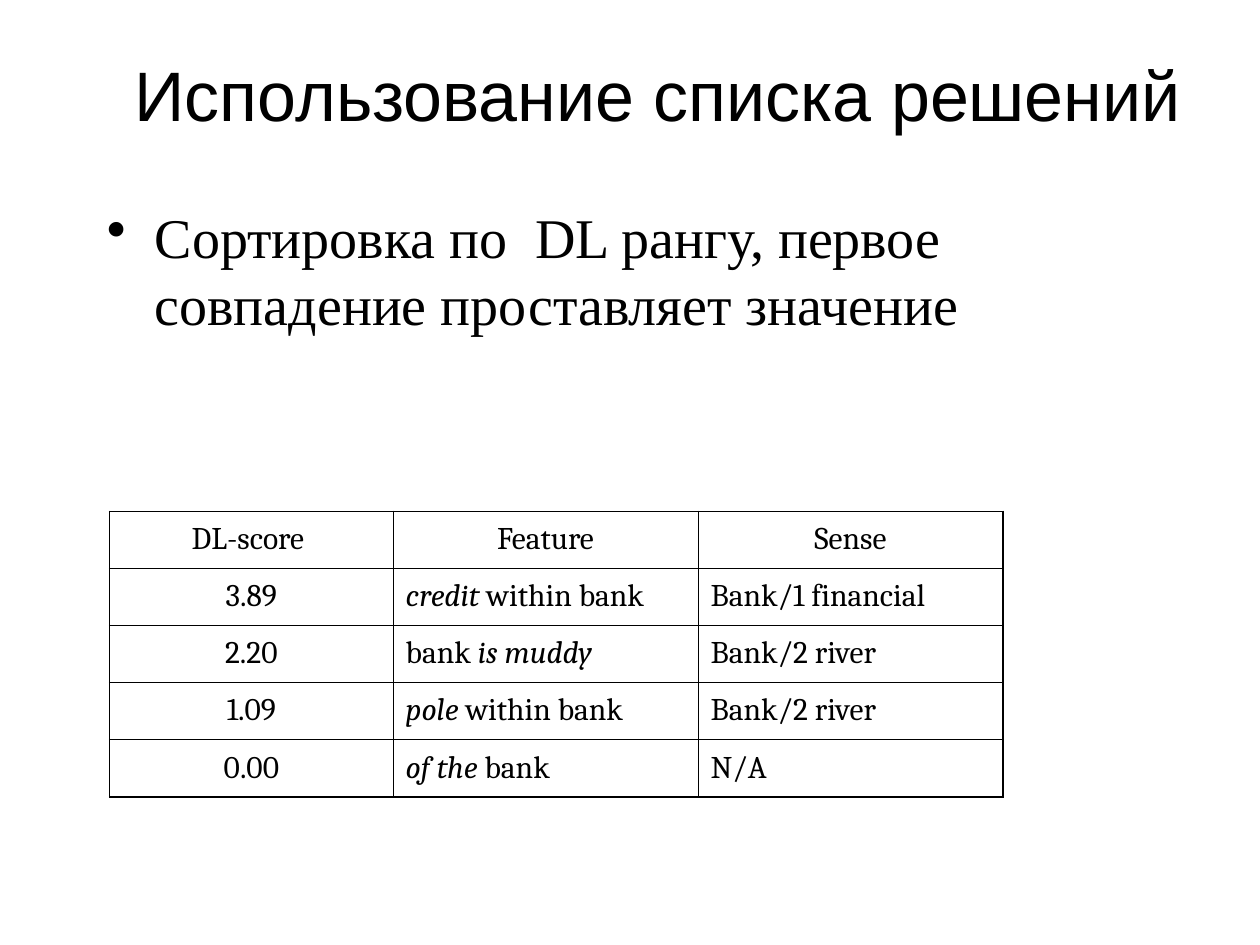
from dataclasses import dataclass

from lxml import etree
from pptx import Presentation
from pptx import util as u
from pptx.dml.color import RGBColor
from pptx.enum import text
from pptx.oxml.ns import qn


@dataclass(frozen=True)
class Theme:
    ink: str = "000000"
    title_font: str = "Arial"
    body_font: str = "Times New Roman"
    table_font: str = "Cambria"
    title_size: int = 40
    body_size: int = 32
    table_size: int = 18
    outer_line: float = 1.08
    inner_line: float = 0.45


@dataclass(frozen=True)
class Box:
    """Position and size in percent of the slide."""
    left: float
    top: float
    width: float
    height: float


@dataclass(frozen=True)
class Span:
    content: str
    italic: bool = False


THEME = Theme()
WIDTH, HEIGHT = u.Inches(10), u.Inches(7.5)
TITLE = Box(7.5, 4.13, 89.4, 11.47)
BODY = Box(7.5, 20.8, 85, 68)
TABLE = Box(8.7, 54.13, 70.9, 30.2)
COLUMN_SHARES = (22.5, 24.2, 24.2)
ROWS = (
    ((Span("DL-score "),), (Span("Feature"),), (Span("Sense"),)),
    ((Span("3.89"),), (Span("credit", True), Span(" within bank")),
     (Span("Bank/1 financial"),)),
    ((Span("2.20"),), (Span("bank "), Span("is muddy", True)),
     (Span("Bank/2 river"),)),
    ((Span("1.09"),), (Span("pole ", True), Span("within bank")),
     (Span("Bank/2 river"),)),
    ((Span("0.00"),), (Span("of the", True), Span(" bank")),
     (Span("N/A"),)),
)


def across(share: float) -> int:
    return round(WIDTH * share / 100)


def down(share: float) -> int:
    return round(HEIGHT * share / 100)


def place(box: Box) -> tuple[int, int, int, int]:
    return across(box.left), down(box.top), across(box.width), down(box.height)


def set_font(p, name: str, size: int) -> None:
    p.font.name = name
    p.font.size = u.Pt(size)
    p.font.color.rgb = RGBColor.from_string(THEME.ink)


def add_text(s, box: Box, content: str, name: str, size: int, anchor):
    tf = s.shapes.add_textbox(*place(box)).text_frame
    tf.word_wrap = True
    tf.vertical_anchor = anchor
    p = tf.paragraphs[0]
    p.add_run().text = content
    set_font(p, name, size)
    return p


def add_bullet(p) -> None:
    p.space_before = u.Pt(8)
    ppr = p._p.get_or_add_pPr()
    indent = u.Inches(0.38)
    ppr.set("marL", str(indent))
    ppr.set("indent", str(-indent))
    bullet = etree.Element(qn("a:buChar"), char="•")
    ppr.find(qn("a:spcBef")).addnext(bullet)


def set_borders(cell, widths: dict[str, float]) -> None:
    tcpr = cell._tc.get_or_add_tcPr()
    for i, (side, width) in enumerate(widths.items()):
        ln = etree.Element(qn(f"a:ln{side}"), w=str(u.Pt(width)))
        fill = etree.SubElement(ln, qn("a:solidFill"))
        etree.SubElement(fill, qn("a:srgbClr"), val=THEME.ink)
        tcpr.insert(i, ln)


def fill_cell(cell, spans: tuple[Span, ...], centred: bool) -> None:
    cell.fill.background()
    p = cell.text_frame.paragraphs[0]
    p.alignment = text.PP_ALIGN.CENTER if centred else text.PP_ALIGN.LEFT
    p.line_spacing = 1.1
    set_font(p, THEME.table_font, THEME.table_size)
    for span in spans:
        r = p.add_run()
        r.text = span.content
        set_font(r, THEME.table_font, THEME.table_size)
        r.font.italic = span.italic


def add_score_table(s) -> None:
    last_row, last_col = len(ROWS) - 1, len(COLUMN_SHARES) - 1
    frame = s.shapes.add_table(len(ROWS), len(COLUMN_SHARES), *place(TABLE))
    table = frame.table
    table.first_row = table.horz_banding = False
    for column, share in zip(table.columns, COLUMN_SHARES):
        column.width = across(share)
    for i, row in enumerate(ROWS):
        for j, spans in enumerate(row):
            cell = table.cell(i, j)
            fill_cell(cell, spans, centred=i == 0 or j == 0)
            edges = {"L": j == 0, "R": j == last_col,
                     "T": i == 0, "B": i == last_row}
            set_borders(cell, {
                side: THEME.outer_line if outer else THEME.inner_line
                for side, outer in edges.items()})


def main() -> None:
    prs = Presentation()
    prs.slide_width, prs.slide_height = WIDTH, HEIGHT
    s = prs.slides.add_slide(prs.slide_layouts[6])
    title = add_text(s, TITLE, "Использование списка решений",
                     THEME.title_font, THEME.title_size, text.MSO_ANCHOR.MIDDLE)
    title.alignment = text.PP_ALIGN.CENTER
    body = add_text(
        s, BODY, "Сортировка по  DL рангу, первое совпадение проставляет значение",
        THEME.body_font, THEME.body_size, text.MSO_ANCHOR.TOP)
    add_bullet(body)
    add_score_table(s)
    prs.save("out.pptx")


if __name__ == "__main__":
    main()
